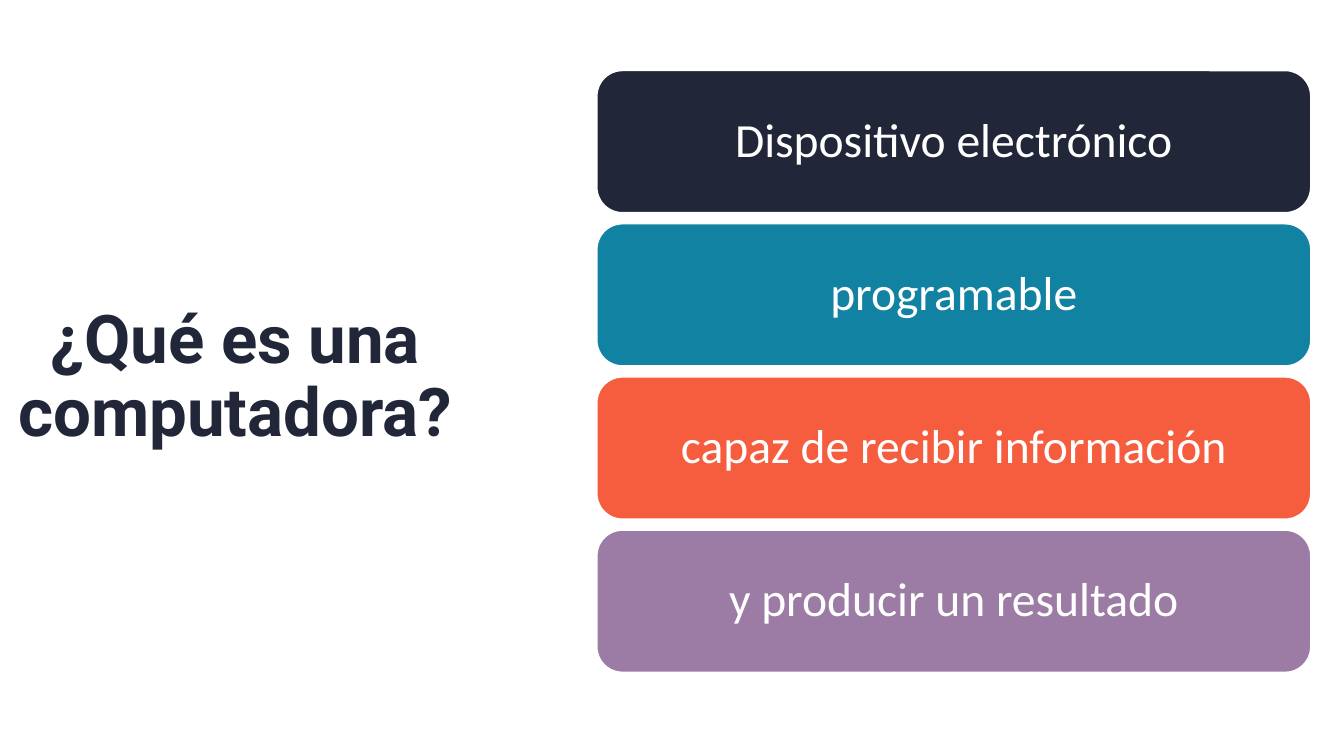
from pptx import Presentation
from pptx.dml.color import RGBColor
from pptx.enum import shapes, text
from pptx.util import Inches, Pt

COLORS = {
    "navy": "212738",
    "teal": "1282A2",
    "coral": "F55D3E",
    "mauve": "9C7CA5",
    "white": "FFFFFF",
}

DEFINITION = [
    ("Dispositivo electrónico", "navy"),
    ("programable", "teal"),
    ("capaz de recibir información", "coral"),
    ("y producir un resultado", "mauve"),
]


def color(name):
    return RGBColor.from_string(COLORS[name])


def write_centered(frame, wording, font_name, size, color_name, bold=False):
    frame.word_wrap = True
    frame.vertical_anchor = text.MSO_ANCHOR.MIDDLE
    paragraph = frame.paragraphs[0]
    paragraph.text = wording
    paragraph.alignment = text.PP_ALIGN.CENTER
    paragraph.line_spacing = 0.9
    paragraph.font.name = font_name
    paragraph.font.size = Pt(size)
    paragraph.font.bold = bold
    paragraph.font.color.rgb = color(color_name)


def add_question(slide, left, top, width, height):
    question = slide.shapes.add_textbox(
        Inches(left), Inches(top), Inches(width), Inches(height))
    write_centered(question.text_frame, "¿Qué es una computadora?",
                   "Roboto", 48, "navy", bold=True)


def add_definition(slide, left, top, width, height, gap=0.11):
    band_height = (height - gap * (len(DEFINITION) - 1)) / len(DEFINITION)
    for index, (phrase, fill_name) in enumerate(DEFINITION):
        band = slide.shapes.add_shape(
            shapes.MSO_SHAPE.ROUNDED_RECTANGLE,
            Inches(left), Inches(top + index * (band_height + gap)),
            Inches(width), Inches(band_height))
        band.adjustments[0] = 0.18
        band.shadow.inherit = False
        band.fill.solid()
        band.fill.fore_color.rgb = color(fill_name)
        band.line.color.rgb = color("white")
        band.line.width = Pt(1)
        frame = band.text_frame
        frame.margin_left = frame.margin_right = Inches(0.21)
        frame.margin_top = frame.margin_bottom = Inches(0.21)
        write_centered(frame, phrase, "Calibri", 34, "white")


def main():
    deck = Presentation()
    deck.slide_width, deck.slide_height = Inches(13.33), Inches(7.5)
    slide = deck.slides.add_slide(deck.slide_layouts[6])
    slide.background.fill.solid()
    slide.background.fill.fore_color.rgb = color("white")
    add_question(slide, 0, 0, 4.67, 7.5)
    add_definition(slide, 5.92, 0.7, 7.08, 5.97)
    deck.save("out.pptx")


if __name__ == "__main__":
    main()
